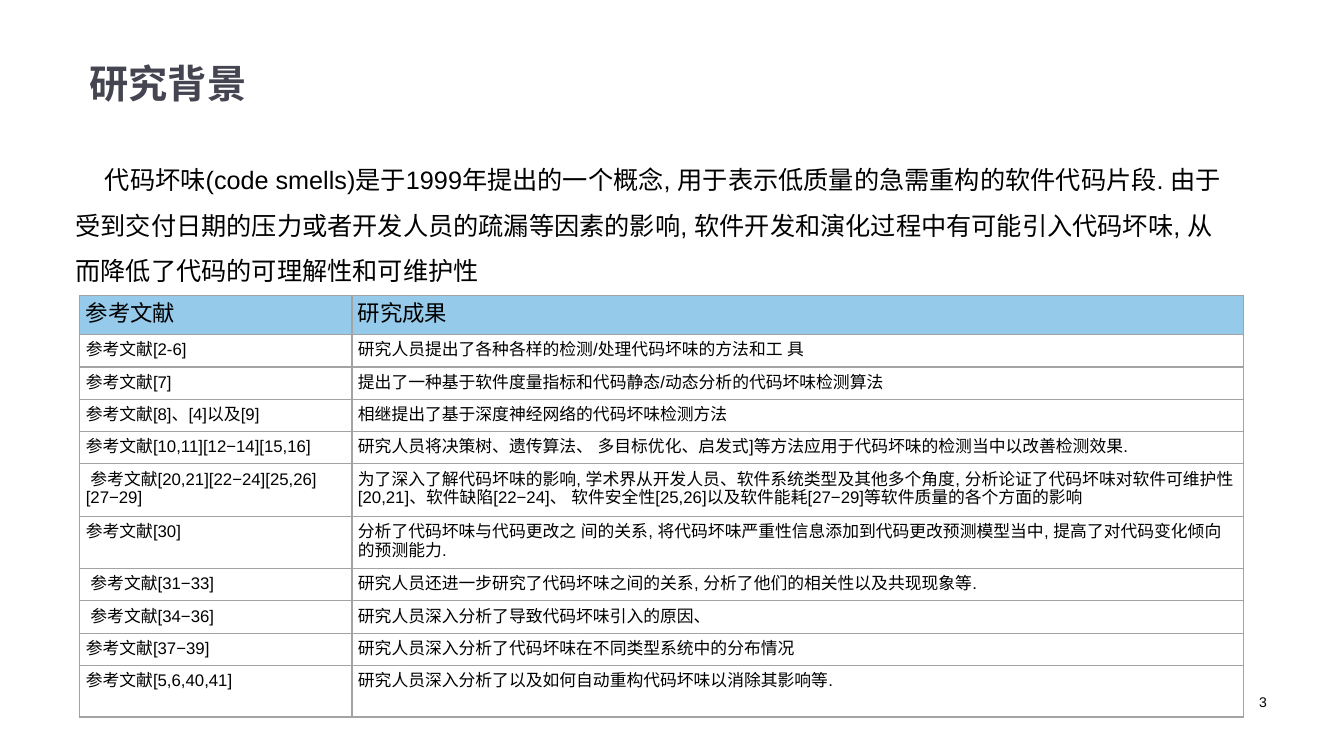
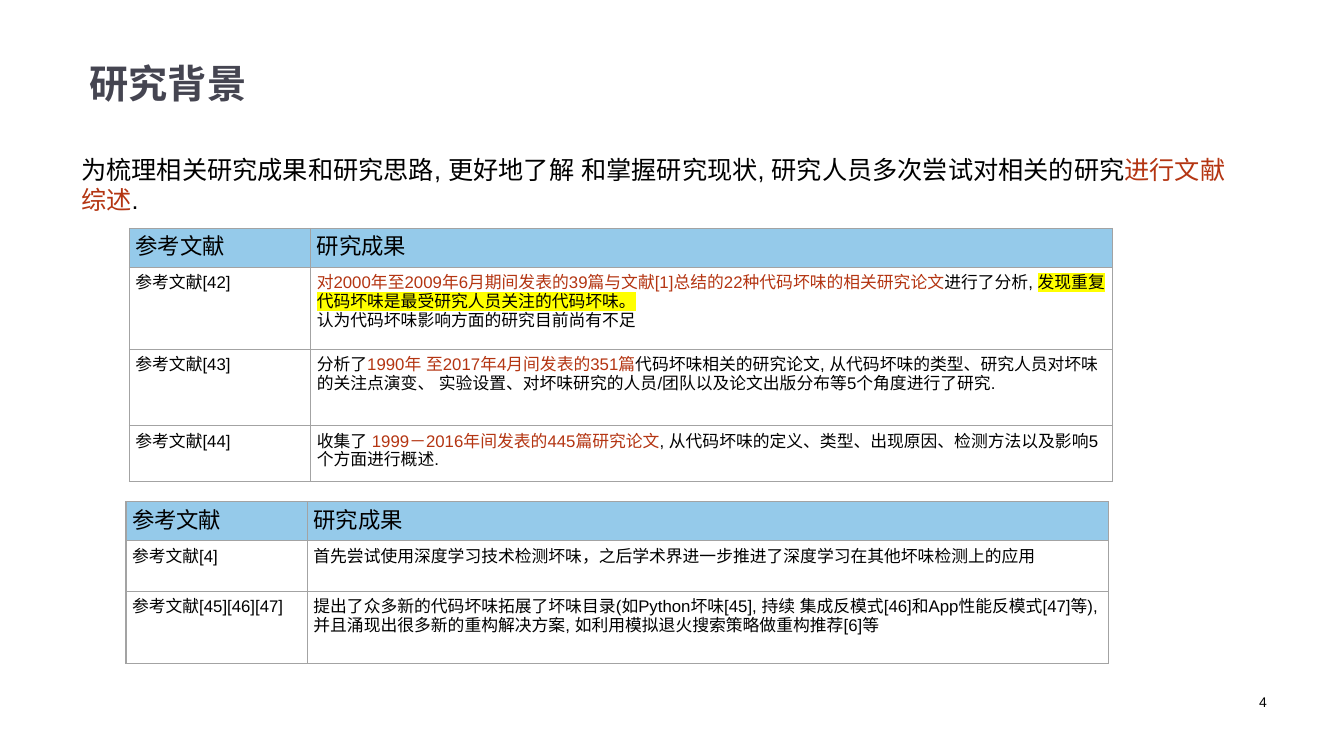
import pptx
import pptx.dml.color
import pptx.enum.text
import pptx.oxml
import pptx.oxml.ns
import pptx.util
import lxml.etree

INK = pptx.dml.color.RGBColor(0x00, 0x00, 0x00)
TITLE_INK = pptx.dml.color.RGBColor(0x45, 0x45, 0x51)
ACCENT = pptx.dml.color.RGBColor(0xB4, 0x35, 0x12)
HEADER = pptx.dml.color.RGBColor(0x95, 0xCA, 0xEA)
RULE = pptx.dml.color.RGBColor(0xA3, 0xA3, 0xA3)
MARKER = pptx.dml.color.RGBColor(0xFF, 0xFF, 0x00)
BODY_FONT = "Arial"
TITLE_FONT = "Noto Sans CJK SC"

deck = pptx.Presentation()
deck.slide_width = pptx.util.Inches(13.33)
deck.slide_height = pptx.util.Inches(7.5)
COLUMN = deck.slide_width / 160
ROW = deck.slide_height / 90
CELL_INSET = pptx.util.Inches(0.06)
HEADER_ROW, LINE_ROW, DOUBLE_ROW = 4.55, 3.74, 6.14


def add_run(paragraph, text, size, color=INK, marker=None, face=BODY_FONT, bold=False):
    run = paragraph.add_run()
    run.text = text
    run.font.size = pptx.util.Pt(size)
    run.font.bold = bold
    run.font.color.rgb = color
    properties = run.font._element
    if marker is not None:
        highlight = lxml.etree.SubElement(properties, pptx.oxml.ns.qn("a:highlight"))
        lxml.etree.SubElement(highlight, pptx.oxml.ns.qn("a:srgbClr"), val=str(marker))
    run.font.name = face
    lxml.etree.SubElement(properties, pptx.oxml.ns.qn("a:ea"), typeface=face)


def add_text(slide, left, top, width, height):
    box = slide.shapes.add_textbox(
        round(left * COLUMN), round(top * ROW), round(width * COLUMN), round(height * ROW))
    box.text_frame.word_wrap = True
    return box.text_frame


concept = [
    ("代码坏味(code smells)是于1999年提出的一个概念, 用于表示低质量的急需重构的软件代码片段. "
     "由于受到交付日期的压力或者开发人员的疏漏等因素的影响, 软件开发和演化过程中有可能引入代码坏味, "
     "从而降低了代码的可理解性和可维护性",),
]
surveys = [
    ("为梳理相关研究成果和研究思路, 更好地了解 和掌握研究现状, 研究人员多次尝试对相关的研究",),
    ("进行文献综述", ACCENT),
    (".",),
]

findings = [
    (LINE_ROW, "参考文献[2-6]", [[("研究人员提出了各种各样的检测/处理代码坏味的方法和工 具",)]]),
    (LINE_ROW, "参考文献[7]", [[("提出了一种基于软件度量指标和代码静态/动态分析的代码坏味检测算法",)]]),
    (LINE_ROW, "参考文献[8]、[4]以及[9]", [[("相继提出了基于深度神经网络的代码坏味检测方法",)]]),
    (LINE_ROW, "参考文献[10,11][12−14][15,16]",
     [[("研究人员将决策树、遗传算法、 多目标优化、启发式]等方法应用于代码坏味的检测当中以改善检测效果.",)]]),
    (DOUBLE_ROW, " 参考文献[20,21][22−24][25,26][27−29]",
     [[("为了深入了解代码坏味的影响, 学术界从开发人员、软件系统类型及其他多个角度, "
        "分析论证了代码坏味对软件可维护性[20,21]、软件缺陷[22−24]、 软件安全性[25,26]"
        "以及软件能耗[27−29]等软件质量的各个方面的影响",)]]),
    (DOUBLE_ROW, "参考文献[30]",
     [[("分析了代码坏味与代码更改之 间的关系, 将代码坏味严重性信息添加到代码更改预测模型当中, "
        "提高了对代码变化倾向的预测能力.",)]]),
    (LINE_ROW, " 参考文献[31−33]",
     [[("研究人员还进一步研究了代码坏味之间的关系, 分析了他们的相关性以及共现现象等.",)]]),
    (LINE_ROW, " 参考文献[34−36]", [[("研究人员深入分析了导致代码坏味引入的原因、",)]]),
    (LINE_ROW, "参考文献[37−39]", [[("研究人员深入分析了代码坏味在不同类型系统中的分布情况",)]]),
    (DOUBLE_ROW, "参考文献[5,6,40,41]", [[("研究人员深入分析了以及如何自动重构代码坏味以消除其影响等.",)]]),
]
reviews = [
    (9.75, "参考文献[42]", [
        [("对2000年至2009年6月期间发表的39篇与文献[1]总结的22种代码坏味的相关研究论文", ACCENT),
         ("进行了分析, ",),
         ("发现重复代码坏味是最受研究人员关注的代码坏味。", INK, MARKER)],
        [("认为代码坏味影响方面的研究目前尚有不足",)]]),
    (9.1, "参考文献[43]", [
        [("分析了",),
         ("1990年 至2017年4月间发表的351篇", ACCENT),
         ("代码坏味相关的研究论文, 从代码坏味的类型、研究人员对坏味的关注点演变、 实验设置、"
          "对坏味研究的人员/团队以及论文出版分布等5个角度进行了研究.",)]]),
    (6.6, "参考文献[44]", [
        [("收集了 ",),
         ("1999－2016年间发表的445篇研究论文", ACCENT),
         (", 从代码坏味的定义、类型、出现原因、检测方法以及影响5个方面进行概述.",)]]),
]
advances = [
    (6.05, "参考文献[4]",
     [[("首先尝试使用深度学习技术检测坏味，之后学术界进一步推进了深度学习在其他坏味检测上的应用",)]]),
    (8.6, "参考文献[45][46][47]",
     [[("提出了众多新的代码坏味拓展了坏味目录(如Python坏味[45], 持续 集成反模式[46]和App性能反模式[47]等), "
        "并且涌现出很多新的重构解决方案, 如利用模拟退火搜索策略做重构推荐[6]等",)]]),
]

wide_columns = (32.4, 106.1)
narrow_columns = (21.6, 95.4)
pages = [
    ("3", (7.8, 17.2, 139, 17), concept, True,
     [(9.5, 35.2, wide_columns, findings)]),
    ("4", (8.5, 17.8, 139, 8.5), surveys, False,
     [(15.4, 27.2, narrow_columns, reviews), (15, 59.75, narrow_columns, advances)]),
]

for number, intro_area, intro_runs, spacious, tables in pages:
    slide = deck.slides.add_slide(deck.slide_layouts[6])

    title = add_text(slide, 9.5, 4.3, 144, 8.3)
    title.vertical_anchor = pptx.enum.text.MSO_ANCHOR.MIDDLE
    title.paragraphs[0].line_spacing = 1.5
    add_run(title.paragraphs[0], "研究背景", 28, TITLE_INK, face=TITLE_FONT, bold=True)

    intro = add_text(slide, *intro_area).paragraphs[0]
    if spacious:
        intro.line_spacing = 1.5
        intro.space_after = pptx.util.Pt(8)
        intro._p.get_or_add_pPr().set("indent", str(round(3.5 * COLUMN)))
    for run in intro_runs:
        add_run(intro, run[0], 18, *run[1:])

    for left, top, widths, entries in tables:
        lines = [(HEADER_ROW, "参考文献", [[("研究成果",)]])] + entries
        height = sum(line[0] for line in lines)
        literature = slide.shapes.add_table(
            len(lines), len(widths), round(left * COLUMN), round(top * ROW),
            round(sum(widths) * COLUMN), round(height * ROW)).table
        literature.first_row = False
        literature.horz_banding = False
        for column, width in zip(literature.columns, widths):
            column.width = round(width * COLUMN)
        for index, (line_height, reference, result) in enumerate(lines):
            literature.rows[index].height = round(line_height * ROW)
            for cell, paragraphs in zip(literature.rows[index].cells, ([[(reference,)]], result)):
                cell.margin_left = cell.margin_right = CELL_INSET
                cell.margin_top = cell.margin_bottom = CELL_INSET
                for side in ("lnL", "lnR", "lnT", "lnB"):
                    border = lxml.etree.SubElement(
                        cell._tc.get_or_add_tcPr(), pptx.oxml.ns.qn("a:" + side),
                        w=str(pptx.util.Pt(1)))
                    paint = lxml.etree.SubElement(border, pptx.oxml.ns.qn("a:solidFill"))
                    lxml.etree.SubElement(paint, pptx.oxml.ns.qn("a:srgbClr"), val=str(RULE))
                if index == 0:
                    cell.fill.solid()
                    cell.fill.fore_color.rgb = HEADER
                else:
                    cell.fill.background()
                for position, runs in enumerate(paragraphs):
                    if position == 0:
                        paragraph = cell.text_frame.paragraphs[0]
                    else:
                        paragraph = cell.text_frame.add_paragraph()
                    for run in runs:
                        add_run(paragraph, run[0], 16 if index == 0 else 12, *run[1:])

    page_number = add_text(slide, 114.7, 82, 37.3, 6).paragraphs[0]
    page_number.alignment = pptx.enum.text.PP_ALIGN.RIGHT
    add_run(page_number, number, 10)

deck.save("out.pptx")
